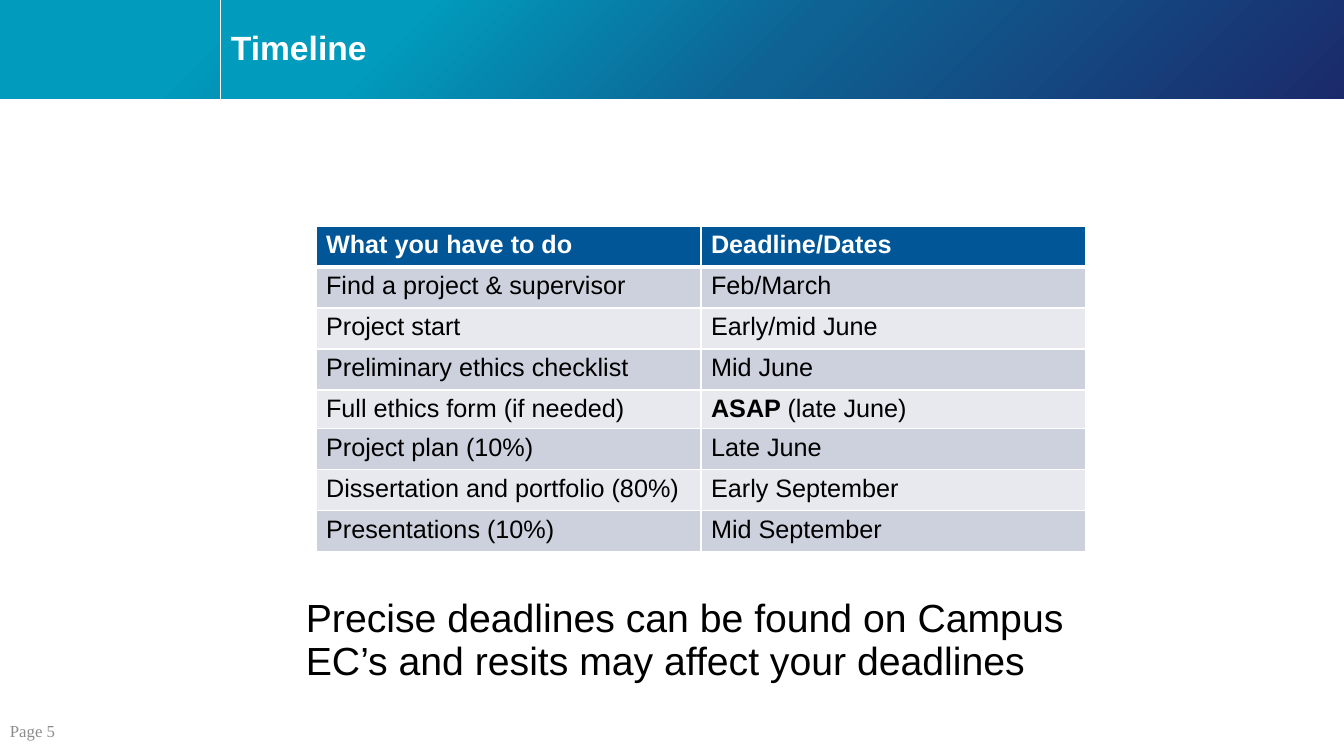
from dataclasses import dataclass

from lxml import etree
from pptx import Presentation
from pptx.dml.color import RGBColor
from pptx.enum.shapes import MSO_CONNECTOR, MSO_SHAPE
from pptx.enum.text import MSO_ANCHOR
from pptx.oxml.ns import qn
from pptx.util import Emu, Pt

RECTANGLE = MSO_SHAPE.RECTANGLE
STRAIGHT = MSO_CONNECTOR.STRAIGHT
TOP, MIDDLE = MSO_ANCHOR.TOP, MSO_ANCHOR.MIDDLE

EMU_PER_PX = 914400 / 100.8
SLIDE_W, SLIDE_H = 1344, 756
BAND_H, DIVIDER_X = 99, 220
COLORS = {
    "white": "FFFFFF", "black": "000000", "grey": "8C8C8C",
    "teal": "009BBD", "blue": "0E6394", "navy": "1B2A6B",
    "header": "005697", "odd": "CCD1DD", "even": "E7E9EF",
}
BAND_STOPS = ((17, "teal"), (50, "blue"), (100, "navy"))


@dataclass
class Span:
    text: str
    size: int
    color: str = "black"
    bold: bool = False
    font: str = "Arial"


@dataclass
class Label:
    left: int
    top: int
    width: int
    height: int
    lines: list[Span]
    anchor: MSO_ANCHOR = TOP
    spacing: float = 1.0
    before: int = 0


LABELS = [
    Label(221, 11, 1123, 77, [Span("Timeline", 24, "white", True)], MIDDLE, 0.9),
    Label(0, 716, 99, 29, [Span("Page 5", 12, "grey", font="Times New Roman")], MIDDLE),
    Label(296, 594, 809, 48, [
        Span("Precise deadlines can be found on Campus", 28),
        Span("EC’s and resits may affect your deadlines", 28),
    ], spacing=0.9, before=10),
]

# Each cell is a bold part followed by a regular part
TABLE_LEFT, TABLE_TOP, COLUMN_W = 316, 226, 385
ROW_H, SHORT_ROW_H, SHORT_ROW = 41, 28, 4
TIMELINE = [
    (("What you have to do", ""), ("Deadline/Dates", "")),
    (("", "Find a project & supervisor"), ("", "Feb/March")),
    (("", "Project start"), ("", "Early/mid June")),
    (("", "Preliminary ethics checklist"), ("", "Mid June")),
    (("", "Full ethics form (if needed)"), ("ASAP ", "(late June)")),
    (("", "Project plan (10%)"), ("", "Late June")),
    (("", "Dissertation and portfolio (80%)"), ("", "Early September")),
    (("", "Presentations (10%)"), ("", "Mid September")),
]


def px(value: int) -> Emu:
    return Emu(round(value * EMU_PER_PX))


def rgb(name: str) -> RGBColor:
    return RGBColor.from_string(COLORS[name])


def add_span(para, span: Span) -> None:
    run = para.add_run()
    run.text = span.text
    run.font.name = span.font
    run.font.size = Pt(span.size)
    run.font.bold = span.bold
    run.font.color.rgb = rgb(span.color)


def add_band(page, left: int) -> None:
    band = page.shapes.add_shape(RECTANGLE, px(left), 0, px(SLIDE_W - left), px(BAND_H))
    band.shadow.inherit = False
    band.line.fill.background()
    band.fill.gradient()
    band.fill.gradient_angle = 315
    stops = band._element.spPr.find(f".//{qn('a:gsLst')}")
    for stop in list(stops):
        stops.remove(stop)
    for percent, color in BAND_STOPS:
        stop = etree.SubElement(stops, qn("a:gs"), pos=str(percent * 1000))
        etree.SubElement(stop, qn("a:srgbClr"), val=COLORS[color])


def add_divider(page) -> None:
    line = page.shapes.add_connector(STRAIGHT, px(DIVIDER_X), 0, px(DIVIDER_X), px(BAND_H))
    line.line.color.rgb = rgb("white")
    line.line.width = Pt(0.5)
    etree.SubElement(line._element.spPr, qn("a:effectLst"))


def add_label(page, label: Label) -> None:
    box = page.shapes.add_textbox(
        px(label.left), px(label.top), px(label.width), px(label.height))
    frame = box.text_frame
    frame.word_wrap = True
    frame.vertical_anchor = label.anchor
    para = frame.paragraphs[0]
    para.line_spacing = label.spacing
    para.space_before = Pt(label.before)
    for index, span in enumerate(label.lines):
        if index:
            para.add_line_break()
        add_span(para, span)


def set_borders(cell, top: int, bottom: int) -> None:
    properties = cell._tc.get_or_add_tcPr()
    for side, points in (("L", 1), ("R", 1), ("T", top), ("B", bottom)):
        line = etree.SubElement(properties, qn(f"a:ln{side}"), w=str(Pt(points)))
        fill = etree.SubElement(line, qn("a:solidFill"))
        etree.SubElement(fill, qn("a:srgbClr"), val=COLORS["white"])


def add_timeline(page) -> None:
    rows, columns = len(TIMELINE), len(TIMELINE[0])
    table = page.shapes.add_table(
        rows, columns, px(TABLE_LEFT), px(TABLE_TOP),
        px(columns * COLUMN_W), px((rows - 1) * ROW_H + SHORT_ROW_H)).table
    for column in table.columns:
        column.width = px(COLUMN_W)
    for r, entries in enumerate(TIMELINE):
        table.rows[r].height = px(SHORT_ROW_H if r == SHORT_ROW else ROW_H)
        fill = "header" if r == 0 else "odd" if r % 2 else "even"
        color = "white" if r == 0 else "black"
        for c, (strong, plain) in enumerate(entries):
            cell = table.cell(r, c)
            set_borders(cell, 3 if r == 1 else 1, 3 if r == 0 else 1)
            cell.fill.solid()
            cell.fill.fore_color.rgb = rgb(fill)
            para = cell.text_frame.paragraphs[0]
            for text, bold in ((strong, True), (plain, False)):
                if text:
                    add_span(para, Span(text, 18, color, bold))


def main() -> None:
    deck = Presentation()
    deck.slide_width, deck.slide_height = px(SLIDE_W), px(SLIDE_H)
    page = deck.slides.add_slide(deck.slide_layouts[6])

    # Header band
    add_band(page, 0)
    add_divider(page)
    add_band(page, DIVIDER_X + 1)

    # Content
    add_timeline(page)
    for label in LABELS:
        add_label(page, label)

    deck.save("out.pptx")


if __name__ == "__main__":
    main()
